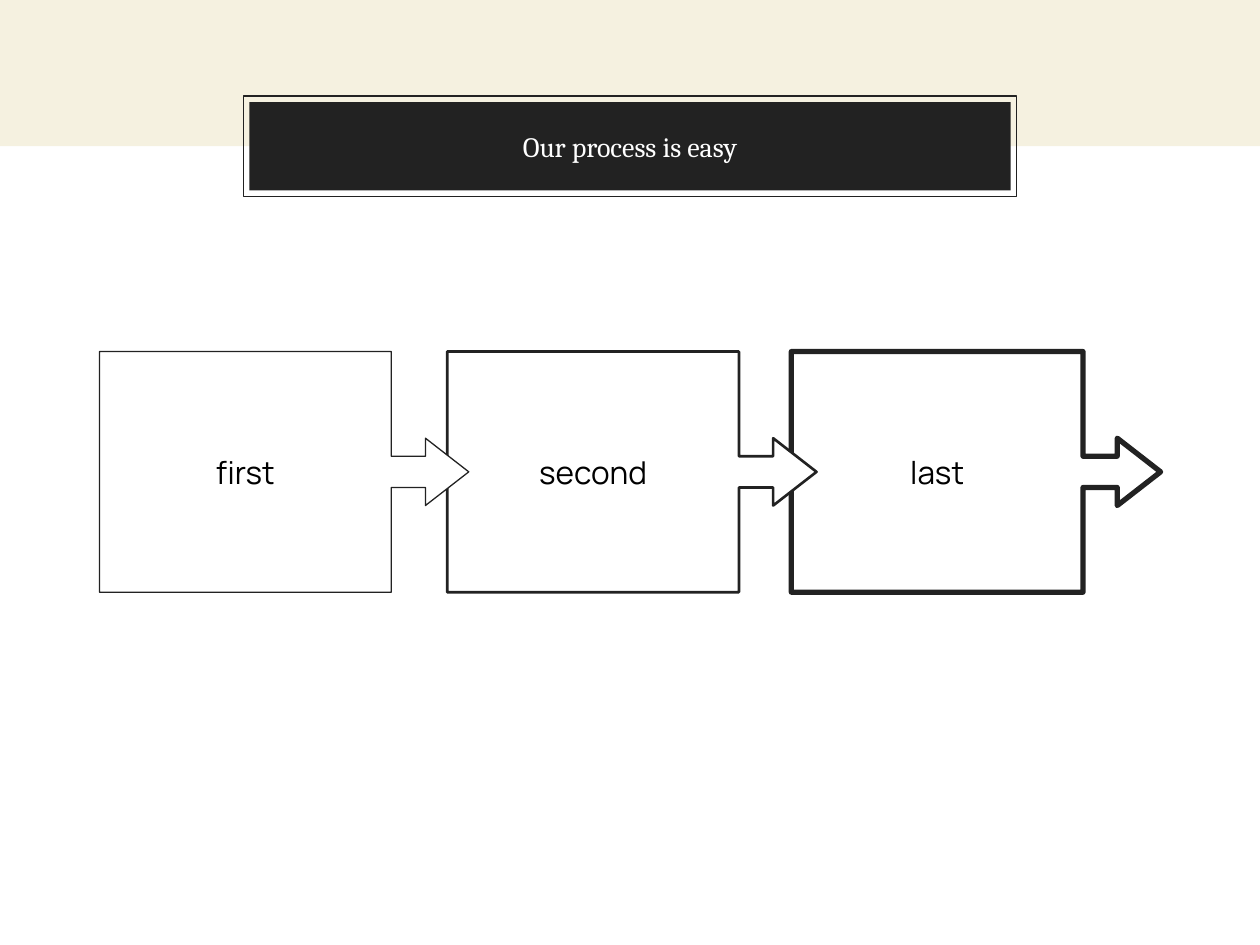
from pptx import Presentation
from pptx.dml.color import RGBColor
from pptx.enum.shapes import MSO_SHAPE
from pptx.enum.text import MSO_ANCHOR, MSO_AUTO_SIZE, PP_ALIGN
from pptx.util import Pt

CREAM = RGBColor(0xF5, 0xF1, 0xE0)
INK = RGBColor(0x22, 0x22, 0x22)
BLACK = RGBColor(0, 0, 0)
WHITE = RGBColor(0xFF, 0xFF, 0xFF)

PAGE_WIDTH, PAGE_HEIGHT = 720, 540
STEP_TOP, STEP_WIDTH, STEP_HEIGHT = 200.9, 211, 137.5
ARROW_PROPORTIONS = (0.13, 0.14, 0.18, 0.79)
# Label, left edge and outline weight, in reading order
STEPS = [("first", 56.9, 0.75), ("second", 255.6, 1.5), ("last", 452.2, 3)]


class SlideBuilder:
    title_font, title_size = "Cambria", 16
    body_font, body_size = "Manrope", 18
    inset = 7.2

    def __init__(self, page):
        self.page = page

    def add_text(self, box, text, font, size, color):
        frame = box.text_frame
        frame.word_wrap = True
        frame.auto_size = MSO_AUTO_SIZE.NONE
        frame.vertical_anchor = MSO_ANCHOR.MIDDLE
        frame.margin_left = frame.margin_right = Pt(self.inset)
        frame.margin_top = frame.margin_bottom = Pt(self.inset)
        para = frame.paragraphs[0]
        para.alignment = PP_ALIGN.CENTER
        span = para.add_run()
        span.text = text
        span.font.name = font
        span.font.size = Pt(size)
        span.font.color.rgb = color

    def shape(self, kind, left, top, width, height, fill=None, line_width=None):
        box = self.page.shapes.add_shape(
            kind, Pt(left), Pt(top), Pt(width), Pt(height))
        box.shadow.inherit = False
        if fill is None:
            box.fill.background()
        else:
            box.fill.solid()
            box.fill.fore_color.rgb = fill
        if line_width is None:
            box.line.fill.background()
        else:
            box.line.color.rgb = INK
            box.line.width = Pt(line_width)
        return box

    def title(self, text, left, top, width, height):
        """Fill the title placeholder and bring it in front of the shapes so far."""
        box = self.page.shapes.title
        box.left, box.top = Pt(left), Pt(top)
        box.width, box.height = Pt(width), Pt(height)
        box.fill.solid()
        box.fill.fore_color.rgb = INK
        self.add_text(box, text, self.title_font, self.title_size, WHITE)
        box.element.getparent().append(box.element)

    def step(self, label, left, line_width):
        box = self.shape(MSO_SHAPE.RIGHT_ARROW_CALLOUT, left, STEP_TOP,
                         STEP_WIDTH, STEP_HEIGHT, WHITE, line_width)
        for index, proportion in enumerate(ARROW_PROPORTIONS):
            box.adjustments[index] = proportion
        self.add_text(box, label, self.body_font, self.body_size, BLACK)


def main():
    deck = Presentation()
    deck.slide_width, deck.slide_height = Pt(PAGE_WIDTH), Pt(PAGE_HEIGHT)
    title_only = deck.slide_layouts[5]
    builder = SlideBuilder(deck.slides.add_slide(title_only))

    builder.shape(MSO_SHAPE.RECTANGLE, 0, 0, PAGE_WIDTH, 83.5, fill=CREAM)
    builder.shape(MSO_SHAPE.RECTANGLE, 139, 54.9, 442, 57.4, line_width=0.75)
    builder.title("Our process is easy", 142.5, 58.4, 435, 50.4)
    # Each arrow overlaps the next step, so the last step goes in first
    for label, left, line_width in reversed(STEPS):
        builder.step(label, left, line_width)

    deck.save("out.pptx")


if __name__ == "__main__":
    main()
